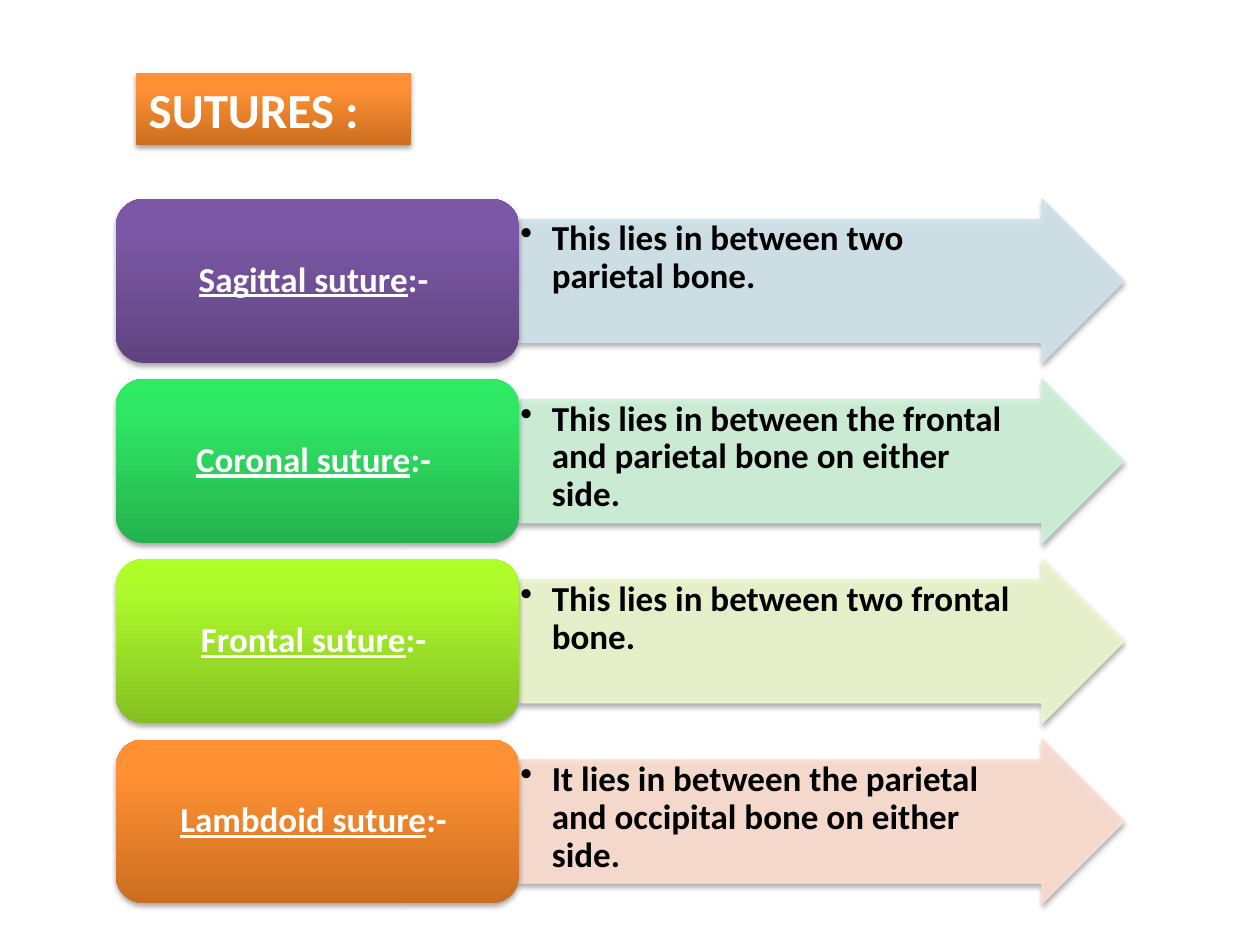
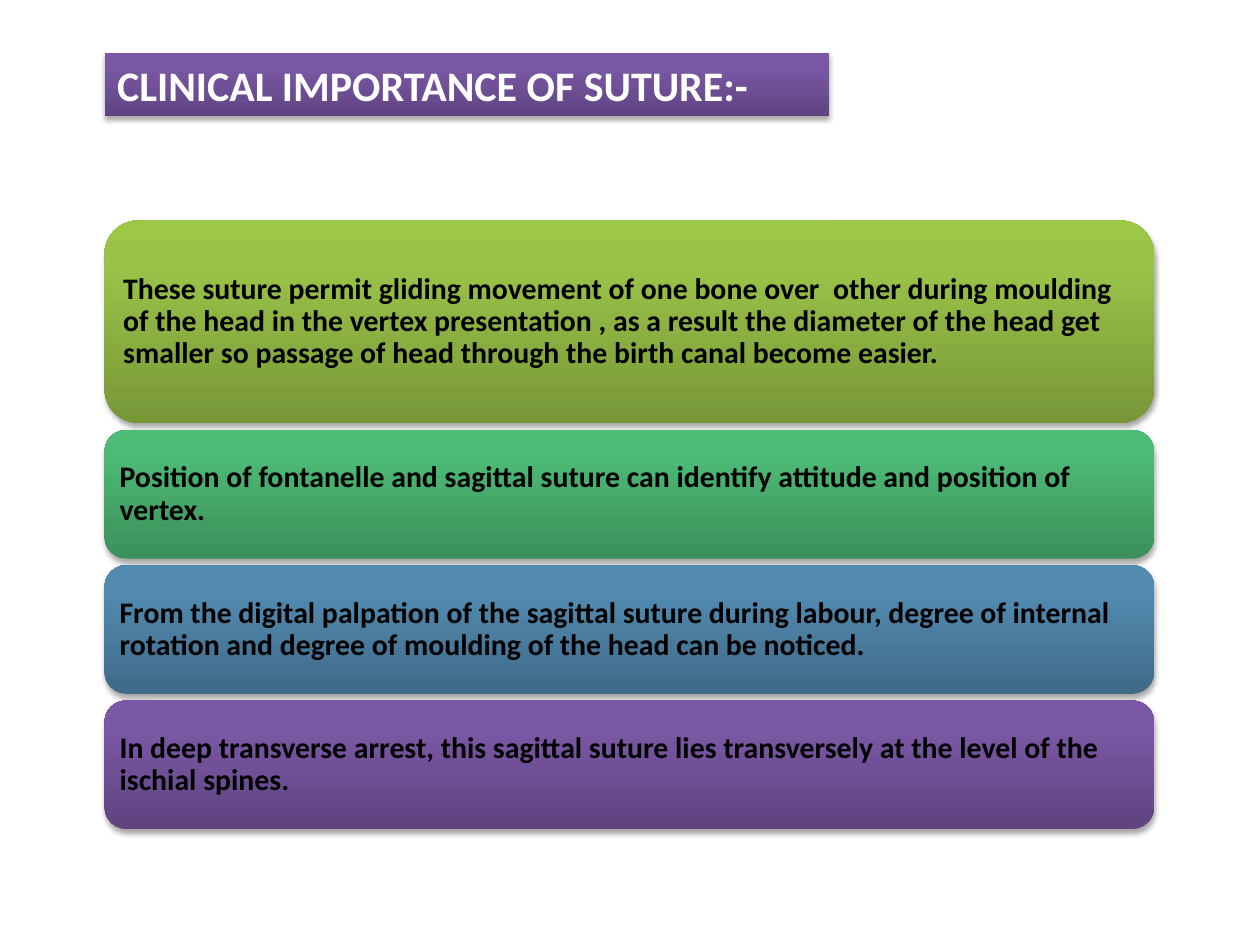
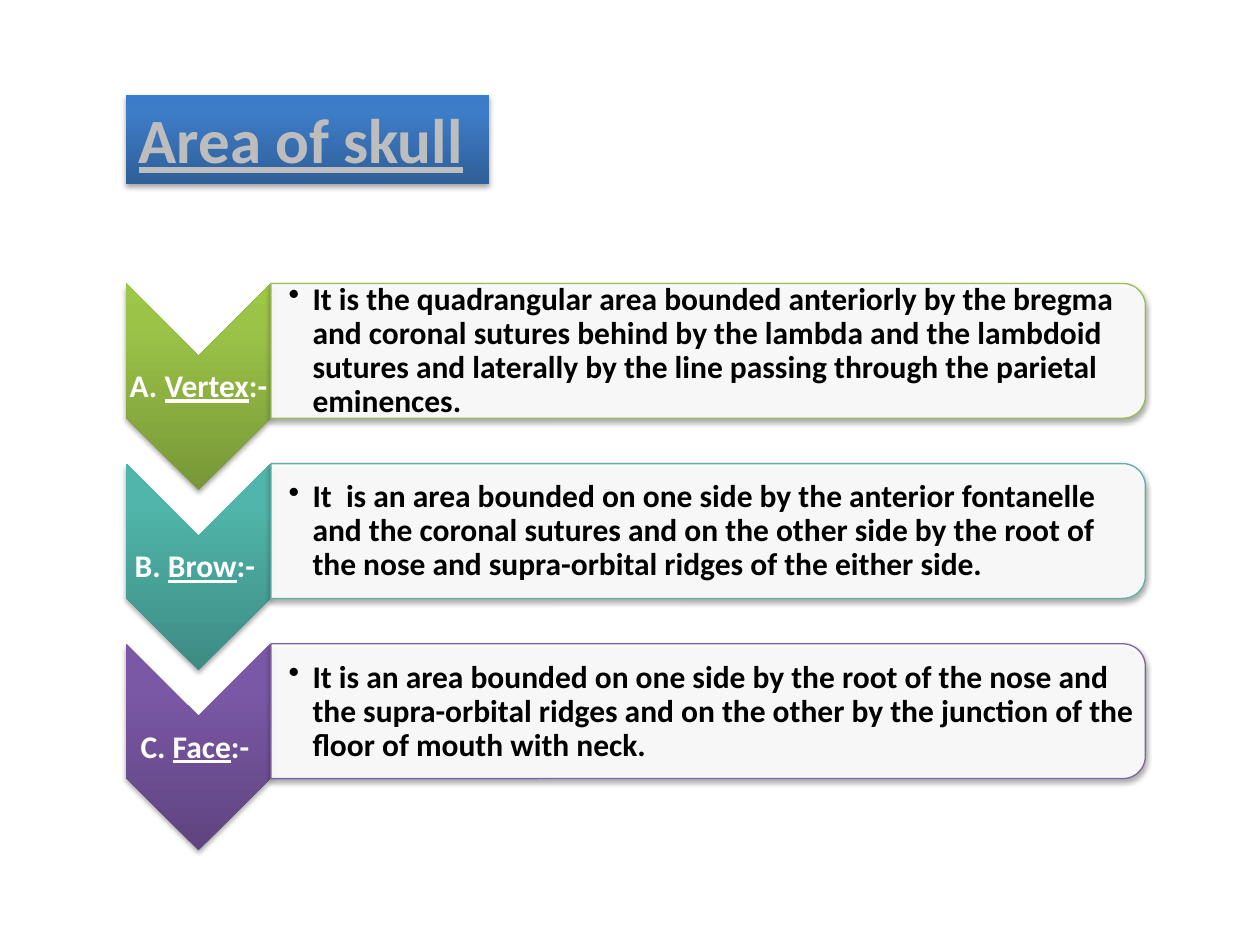
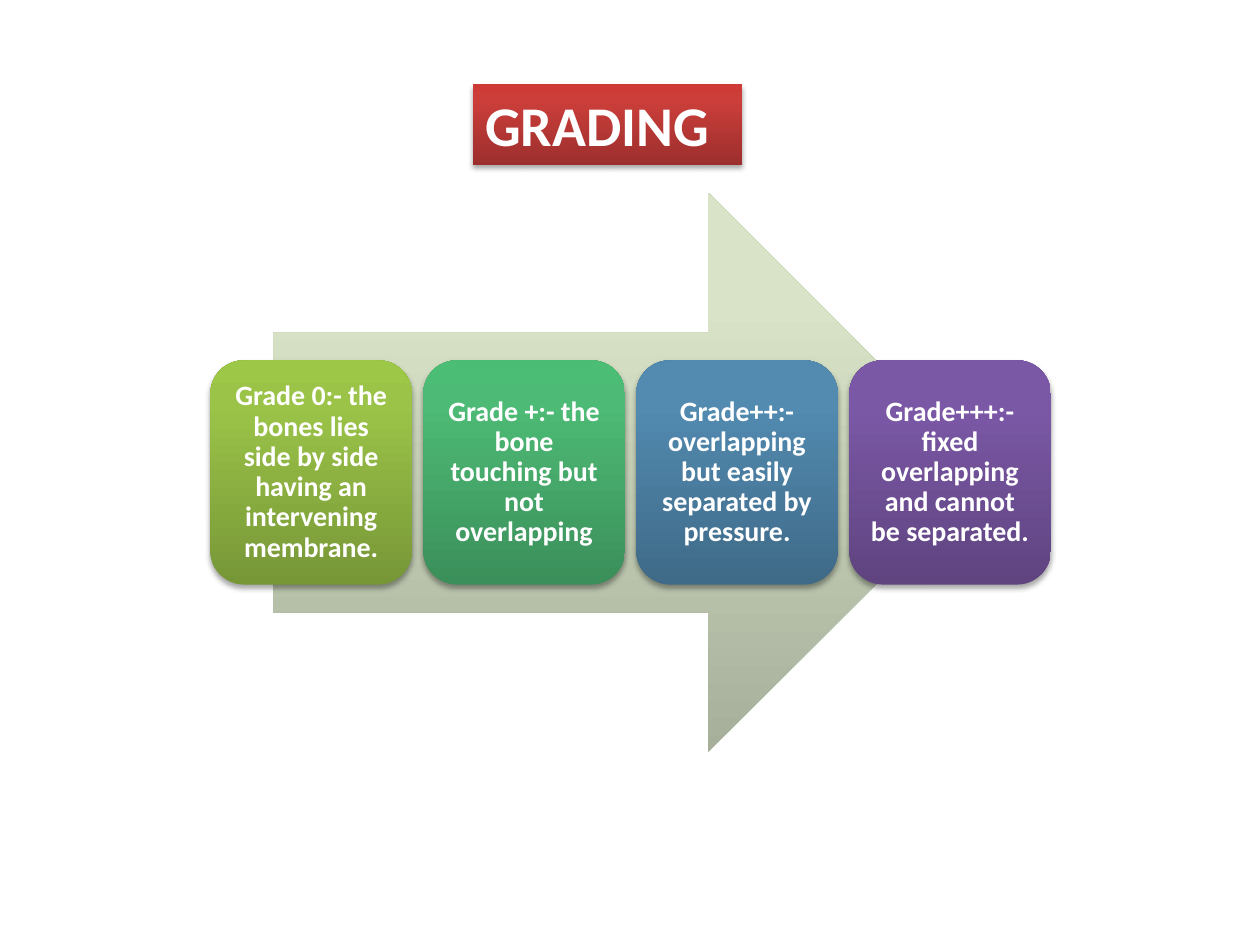
import pptx
import pptx.dml.color
import pptx.enum.shapes
import pptx.enum.text
import pptx.oxml
import pptx.oxml.ns
import pptx.util
from lxml import etree

Inches = pptx.util.Inches
Pt = pptx.util.Pt
RGB = pptx.dml.color.RGBColor.from_string
qn = pptx.oxml.ns.qn
SHAPE = pptx.enum.shapes.MSO_SHAPE
ALIGN = pptx.enum.text.PP_ALIGN
ANCHOR = pptx.enum.text.MSO_ANCHOR

COLORS = {
    "white": "FFFFFF", "black": "000000", "silver": "BDBDBD",
    "pale blue": "D0E3EA", "pale green": "CFF1D9",
    "pale lime": "EBF7CE", "pale orange": "FCDDCF",
    "olive line": "9BBB59", "teal line": "5EAFA6", "violet line": "8064A2",
}
GRADIENTS = {
    "orange": ("CC6E20", "FF9034", "FF9136"),
    "violet": ("5F4480", "7B58A6", "7C57A8"),
    "green": ("25B24E", "30E765", "2DEB64"),
    "lime": ("85C022", "ADF92C", "AFFE28"),
    "olive": ("779737", "9BC348", "9DC746"),
    "emerald": ("3B8F5A", "4DBA75", "4BBD75"),
    "steel": ("3F6A88", "528AB0", "518BB3"),
    "teal": ("3D8B83", "50B5AA", "4EB8AC"),
    "blue": ("2F5F99", "3D7CC7", "3A7CCB"),
    "red": ("9C2F2D", "CB3E3A", "CE3B37"),
    "sage": ("A6AF9A", "D8E3C8", "D9E4C8"),
}


class Deck:
    """Hold the shared style and the current slide."""

    font = "Calibri"

    def __init__(self):
        """Start an empty presentation."""
        self.prs = pptx.Presentation()
        self.prs.slide_width, self.prs.slide_height = Inches(10), Inches(7.5)
        self.s = None

    def gradient(self, sp, name):
        """Fill a shape with a vertical gradient, dark at the bottom."""
        sp.fill.gradient()
        sp.fill.gradient_angle = 90
        grad = sp._element.spPr.find(qn("a:gradFill"))
        grad.set("rotWithShape", "0")
        stops = grad.find(qn("a:gsLst"))
        for old in list(stops):
            stops.remove(old)
        for pos, color in zip((0, 80000, 100000), GRADIENTS[name]):
            gs = etree.SubElement(stops, qn("a:gs"), pos=str(pos))
            etree.SubElement(gs, qn("a:srgbClr"), val=color)

    def tint(self, fill_parent, color):
        """Make a solid fill 90 percent opaque."""
        fill_parent.solid()
        fill_parent.fore_color.rgb = RGB(COLORS[color])

    def shadow(self, sp, visible=True):
        """Replace the inherited shadow with a soft one below, or none."""
        sp.shadow.inherit = False
        if visible:
            effects = sp._element.spPr.find(qn("a:effectLst"))
            outer = etree.SubElement(effects, qn("a:outerShdw"), blurRad=str(Pt(3.1)),
                                     dist=str(Pt(1.8)), dir="5400000", rotWithShape="0")
            clr = etree.SubElement(outer, qn("a:srgbClr"), val=COLORS["black"])
            etree.SubElement(clr, qn("a:alpha"), val="35000")

    def text(self, sp, runs, size, color, align=ALIGN.LEFT, anchor=ANCHOR.MIDDLE,
             insets=(0.07, 0.07, 0.07, 0.07), indent=0, spacing=0.9):
        """Write one bold paragraph from (text, underlined) runs."""
        tf = sp.text_frame
        tf.word_wrap = True
        tf.auto_size = pptx.enum.text.MSO_AUTO_SIZE.NONE
        tf.vertical_anchor = anchor
        tf.margin_left, tf.margin_top, tf.margin_right, tf.margin_bottom = map(Inches, insets)
        p = tf.paragraphs[0]
        p.alignment, p.line_spacing = align, spacing
        if indent:
            p.level = 1
            pPr = p._p.get_or_add_pPr()
            pPr.set("marL", str(Inches(indent)))
            pPr.set("indent", str(-Inches(indent)))
            etree.SubElement(pPr, qn("a:buChar"), char="•")
        for words, underlined in runs:
            r = p.add_run()
            r.text = words
            r.font.name, r.font.size, r.font.bold = self.font, Pt(size), True
            r.font.underline = underlined
            r.font.color.rgb = RGB(COLORS[color])

    def title(self, words, size, fill, box, color="white", underlined=False):
        """Start a slide with a gradient title band."""
        self.s = self.prs.slides.add_slide(self.prs.slide_layouts[5])
        sp = self.s.shapes.title
        sp.left, sp.top, sp.width, sp.height = map(Inches, box)
        self.gradient(sp, fill)
        self.shadow(sp)
        self.text(sp, [(words, underlined)], size, color, anchor=ANCHOR.TOP,
                  insets=(0.1, 0.05, 0.1, 0.05), spacing=1.0)

    def shape(self, kind, box, fill, line=None, turned=False, shadow=True):
        """Add a preset shape; a turned one is rotated a quarter within its box."""
        x, y, w, h = box
        if turned:
            x, y, w, h = x + (w - h) / 2, y + (h - w) / 2, h, w
        sp = self.s.shapes.add_shape(kind, Inches(x), Inches(y), Inches(w), Inches(h))
        sp.rotation = 90 if turned else 0
        if fill in GRADIENTS:
            self.gradient(sp, fill)
        else:
            self.tint(sp.fill, fill)
            clr = sp._element.spPr.find(qn("a:solidFill")).find(qn("a:srgbClr"))
            etree.SubElement(clr, qn("a:alpha"), val="90000")
        if line:
            sp.line.color.rgb = RGB(COLORS[line])
            sp.line.width = Pt(0.75)
        else:
            sp.line.fill.background()
        self.shadow(sp, shadow)
        return sp

    def textbox(self, box, runs, size, color, **style):
        """Add a free text box."""
        self.text(self.s.shapes.add_textbox(*map(Inches, box)), runs, size, color, **style)


def sutures(deck):
    """Build the list of sutures."""
    deck.title("SUTURES :", 28, "orange", (1.08, 0.58, 2.18, 0.57))
    rows = [
        ("Sagittal suture", "violet", "pale blue", "This lies in between two parietal bone."),
        ("Coronal suture", "green", "pale green",
         "This lies in between the frontal and parietal bone on either side."),
        ("Frontal suture", "lime", "pale lime", "This lies in between two frontal bone."),
        ("Lambdoid suture", "orange", "pale orange",
         "It lies in between the parietal and occipital bone on either side."),
    ]
    for i, (name, fill, pale, words) in enumerate(rows):
        top = 1.58 + 1.43 * i
        arrow = deck.shape(SHAPE.RIGHT_ARROW, (4.12, top, 4.8, 1.3), pale, line=pale)
        arrow.adjustments[0] = 0.75
        deck.text(arrow, [(words, False)], 20, "black", anchor=ANCHOR.TOP,
                  insets=(0.01, 0.01, 0.34, 0.01), indent=0.25)
        label = deck.shape(SHAPE.ROUNDED_RECTANGLE, (0.92, top, 3.2, 1.3), fill)
        deck.text(label, [(name, True), (":- ", False)], 20, "white", align=ALIGN.CENTER,
                  insets=(0.08, 0.04, 0.08, 0.04))


def importance(deck):
    """Build the stack of clinical points."""
    deck.title("CLINICAL IMPORTANCE OF SUTURE:-", 24, "violet", (0.83, 0.42, 5.75, 0.5))
    points = [
        (1.61, "olive", "These suture permit gliding movement of one bone over  other during "
         "moulding of the head in the vertex presentation , as a result the diameter of the "
         "head get smaller so passage of head through the birth canal become easier."),
        (1.02, "emerald", "Position of fontanelle and sagittal suture can identify attitude "
         "and position of vertex."),
        (1.02, "steel", "From the digital palpation of the sagittal suture during labour, "
         "degree of internal rotation and degree of moulding of the head can be noticed."),
        (1.02, "violet", "In deep transverse arrest, this sagittal suture lies transversely "
         "at the level of the ischial spines."),
    ]
    top, bottom = 1.75, 6.58
    gap = (bottom - top - sum(point[0] for point in points)) / (len(points) - 1)
    for height, fill, words in points:
        sp = deck.shape(SHAPE.ROUNDED_RECTANGLE, (0.83, top, 8.33, height), fill)
        deck.text(sp, [(words, False)], 17, "black")
        top += height + gap


def skull_areas(deck):
    """Build the chevron list of skull areas."""
    deck.title("Area of skull", 36, "blue", (1, 0.75, 2.88, 0.71), "silver", True)
    areas = [
        ("A. ", "Vertex", "olive", "It is the quadrangular area bounded anteriorly by the "
         "bregma and coronal sutures behind by the lambda and the lambdoid sutures and "
         "laterally by the line passing through the parietal eminences."),
        ("B. ", "Brow", "teal", "It  is an area bounded on one side by the anterior fontanelle "
         "and the coronal sutures and on the other side by the root of the nose and "
         "supra-orbital ridges of the either side."),
        ("C. ", "Face", "violet", "It is an area bounded on one side by the root of the nose "
         "and the supra-orbital ridges and on the other by the junction of the floor of mouth "
         "with neck."),
    ]
    for i, (letter, name, fill, words) in enumerate(areas):
        top = 2.25 + 1.43 * i
        deck.shape(SHAPE.CHEVRON, (1, top, 1.15, 1.64), fill, turned=True)
        deck.textbox((1, top + 0.58, 1.15, 0.49),
                     [(letter, False), (name, True), (":- ", False)], 18, "white",
                     align=ALIGN.CENTER, insets=(0.01, 0.01, 0.01, 0.01))
        deck.shape(SHAPE.ROUND_2_SAME_RECTANGLE, (2.15, top, 6.94, 1.07), "white",
                   line=fill + " line", turned=True)
        deck.textbox((2.15, top + 0.06, 6.88, 0.96), [(words, False)], 18, "black",
                     insets=(0.14, 0.01, 0.01, 0.01), indent=0.19)


def grading(deck):
    """Build the row of grades over an arrow."""
    deck.title("GRADING", 32, "red", (3.75, 0.67, 2.14, 0.64))
    deck.shape(SHAPE.RIGHT_ARROW, (2.17, 1.53, 5.67, 4.44), "sage", shadow=False)
    grades = [
        ("olive", "Grade 0:- the bones lies side by side having an intervening membrane."),
        ("emerald", "Grade +:- the bone touching but not overlapping"),
        ("steel", "Grade++:- overlapping but easily separated by pressure."),
        ("violet", "Grade+++:- fixed overlapping and cannot be separated."),
    ]
    for i, (fill, words) in enumerate(grades):
        sp = deck.shape(SHAPE.ROUNDED_RECTANGLE, (1.67 + 1.69 * i, 2.86, 1.6, 1.78), fill)
        deck.text(sp, [(words, False)], 16, "white", align=ALIGN.CENTER)


def main():
    """Build and save the slides."""
    deck = Deck()
    for build in (sutures, importance, skull_areas, grading):
        build(deck)
    deck.prs.save("out.pptx")


if __name__ == "__main__":
    main()
